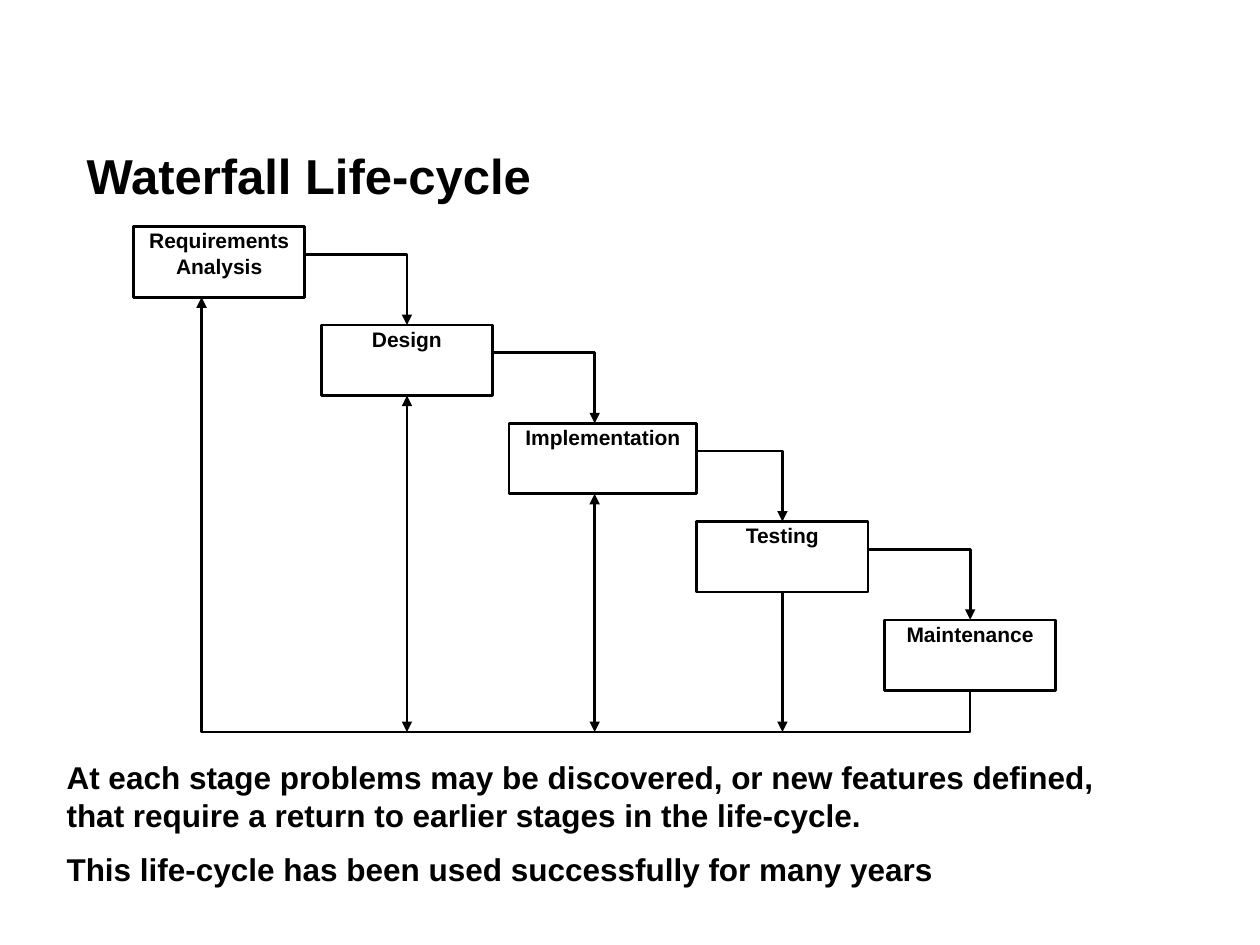
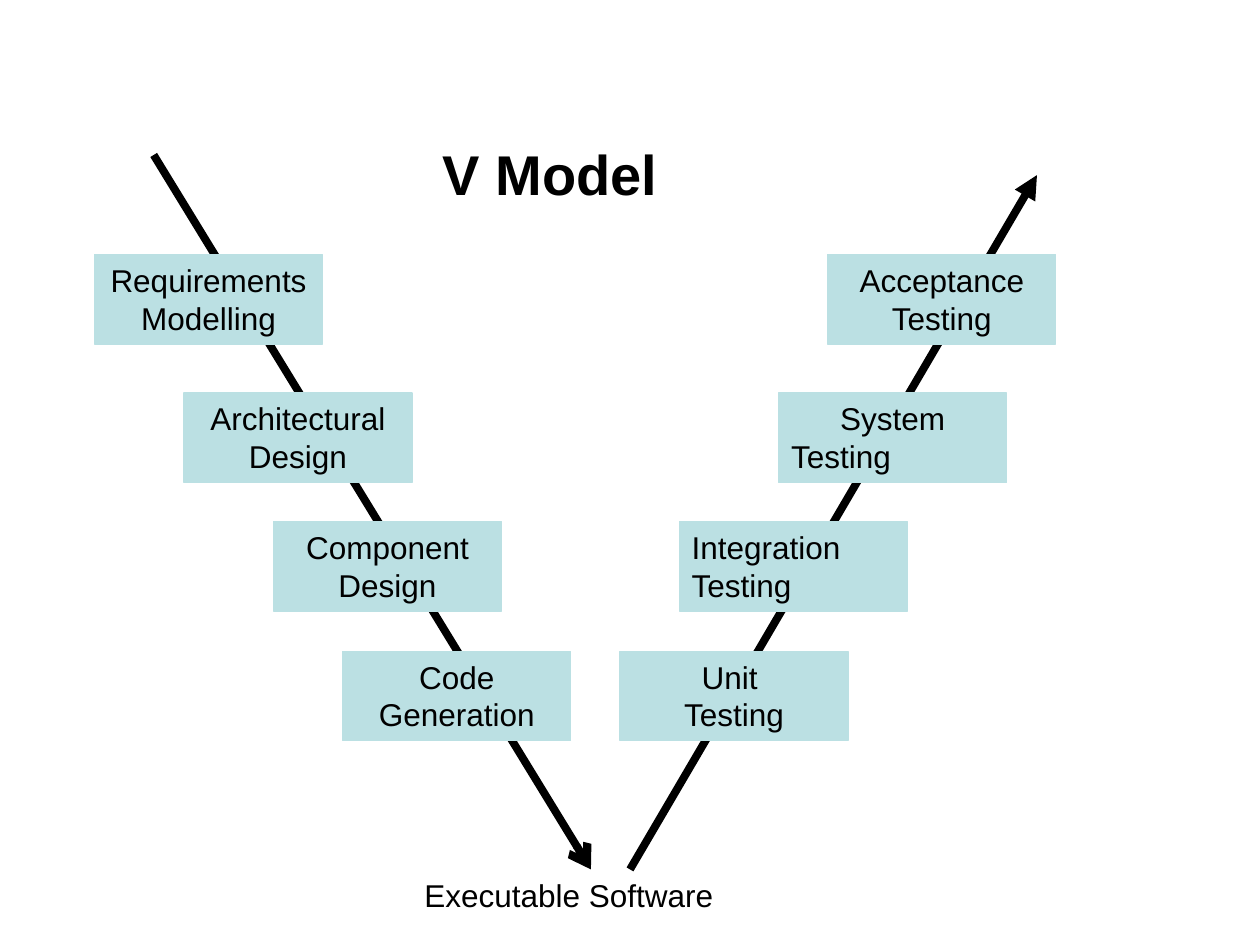
from lxml import etree
from pptx import Presentation
from pptx.dml.color import RGBColor
from pptx.enum.shapes import MSO_CONNECTOR, MSO_SHAPE
from pptx.enum.text import MSO_ANCHOR, PP_ALIGN
from pptx.oxml.ns import qn
from pptx.util import Inches, Pt

LEFT, CENTER = PP_ALIGN.LEFT, PP_ALIGN.CENTER
TOP, MIDDLE = MSO_ANCHOR.TOP, MSO_ANCHOR.MIDDLE
RECTANGLE, STRAIGHT = MSO_SHAPE.RECTANGLE, MSO_CONNECTOR.STRAIGHT

BLACK = RGBColor(0x00, 0x00, 0x00)
WHITE = RGBColor(0xFF, 0xFF, 0xFF)
PALE_TEAL = RGBColor(0xBB, 0xE0, 0xE3)
FONT = "Arial"

# Waterfall content: paragraphs and width of each stage
STAGES = [
    (["Requirements", "Analysis"], 1.36),
    (["Design"], 1.36),
    (["Implementation"], 1.49),
    (["Testing"], 1.36),
    (["Maintenance"], 1.36),
]
REMARKS = [
    "At each stage problems may be discovered, or new features defined, "
    "that require a return to earlier stages in the life-cycle.",
    "This life-cycle has been used successfully for many years",
]
STAGE_LEFT, STAGE_TOP = 1.06, 1.8
STEP_X, STEP_Y = 1.49, 0.78
STAGE_W, STAGE_H = 1.36, 0.56
FEEDBACK_Y = 5.81

# V model content: box left edges and (text, alignment) paragraphs, by level
V_TOPS = [2.02, 3.12, 4.14, 5.17]
DEVELOPMENT = [
    (0.75, [("Requirements Modelling", CENTER)]),
    (1.46, [("Architectural Design", CENTER)]),
    (2.17, [("Component Design", CENTER)]),
    (2.72, [("Code Generation", CENTER)]),
]
VERIFICATION = [
    (6.57, [("Acceptance Testing", CENTER)]),
    (6.18, [("System", CENTER), ("Testing", LEFT)]),
    (5.39, [("Integration Testing", LEFT)]),
    (4.92, [("Unit ", CENTER), ("Testing", CENTER)]),
]
V_ARMS = [
    ((1.22, 1.23), (4.69, 6.9), "arrow"),
    ((5, 6.9), (8.23, 1.39), "triangle"),
]


def write(shape, paragraphs, size, bold=False, anchor=TOP):
    """Fill a shape with (text, alignment) paragraphs and return its frame."""
    frame = shape.text_frame
    frame.word_wrap = True
    frame.vertical_anchor = anchor
    for i, (text, align) in enumerate(paragraphs):
        paragraph = frame.paragraphs[0] if i == 0 else frame.add_paragraph()
        paragraph.alignment = align
        run = paragraph.add_run()
        run.text = text
        run.font.name = FONT
        run.font.size = Pt(size)
        run.font.bold = bold
        run.font.color.rgb = BLACK
    return frame


def add_text(slide, box, paragraphs, size, **style):
    return write(slide.shapes.add_textbox(*map(Inches, box)), paragraphs, size, **style)


def add_title(slide, box, text, size, align):
    add_text(slide, box, [(text, align)], size, bold=True, anchor=MIDDLE)


def add_box(slide, box, fill, line, width):
    shape = slide.shapes.add_shape(RECTANGLE, *map(Inches, box))
    shape.shadow.inherit = False
    shape.fill.solid()
    shape.fill.fore_color.rgb = fill
    shape.line.color.rgb = line
    shape.line.width = Pt(width)
    return shape


def style_line(shape, width, head=None, tail=None):
    shape.line.color.rgb = BLACK
    shape.line.width = Pt(width)
    outline = shape.line._get_or_add_ln()
    for tag, kind in (("a:headEnd", head), ("a:tailEnd", tail)):
        if kind:
            etree.SubElement(outline, qn(tag)).set("type", kind)


def add_line(slide, start, end, width, head=None, tail=None):
    line = slide.shapes.add_connector(STRAIGHT, *map(Inches, (*start, *end)))
    style_line(line, width, head, tail)
    etree.SubElement(line._element.spPr, qn("a:effectLst"))


def add_bent_arrow(slide, points):
    corners = [(Inches(x), Inches(y)) for x, y in points]
    builder = slide.shapes.build_freeform(*corners[0])
    builder.add_line_segments(corners[1:], close=False)
    shape = builder.convert_to_shape()
    shape.shadow.inherit = False
    shape.fill.background()
    style_line(shape, 1.5, tail="triangle")


def build_waterfall(slide):
    add_title(slide, (0.59, 1.01, 8.27, 0.76), "Waterfall Life-cycle", 28, LEFT)
    corners = [(STAGE_LEFT + i * STEP_X, STAGE_TOP + i * STEP_Y)
               for i in range(len(STAGES))]

    # Arrows from each stage down to the next
    for (left, top), (next_left, next_top) in zip(corners, corners[1:]):
        middle = next_left + STAGE_W / 2
        add_bent_arrow(slide, [(left + STAGE_W, top + 0.22),
                               (middle, top + 0.22), (middle, next_top)])

    # Stages
    for (left, top), (lines, width) in zip(corners, STAGES):
        box = add_box(slide, (left, top, width, STAGE_H), WHITE, BLACK, 1.5)
        frame = write(box, [(line, CENTER) for line in lines], 12, bold=True)
        frame.paragraphs[0].space_before = Pt(6)
        frame.margin_left = frame.margin_right = Inches(0.01)
        frame.margin_top = frame.margin_bottom = Inches(0.01)

    # Feedback from the last stage to the first, joined by those between
    last_left, last_top = corners[-1]
    last_middle = last_left + STAGE_W / 2
    return_x = STAGE_LEFT + 0.54
    add_bent_arrow(slide, [(last_middle, last_top + STAGE_H), (last_middle, FEEDBACK_Y),
                           (return_x, FEEDBACK_Y), (return_x, STAGE_TOP + STAGE_H)])
    for (left, top), head in zip(corners[1:-1], ("triangle", "triangle", None)):
        middle = left + STAGE_W / 2
        add_line(slide, (middle, top + STAGE_H), (middle, FEEDBACK_Y), 1.5,
                 head=head, tail="triangle")

    # Remarks
    frame = add_text(slide, (0.43, 5.97, 8.82, 1.15),
                     [(remark, LEFT) for remark in REMARKS], 18, bold=True)
    for paragraph in frame.paragraphs:
        paragraph.space_before = Pt(9)


def build_v_model(slide):
    add_title(slide, (2.87, 0.99, 2.99, 0.76), "V Model", 32, CENTER)
    for start, end, tip in V_ARMS:
        add_line(slide, start, end, 4.5, tail=tip)
    for side in (DEVELOPMENT, VERIFICATION):
        for top, (left, paragraphs) in zip(V_TOPS, side):
            box = add_box(slide, (left, top, 1.81, 0.71), PALE_TEAL, PALE_TEAL, 0.75)
            write(box, paragraphs, 18)
    add_text(slide, (3.27, 6.9, 2.99, 0.4), [("Executable Software", LEFT)], 18)


def main():
    deck = Presentation()
    deck.slide_width, deck.slide_height = Inches(10), Inches(7.5)
    blank = deck.slide_layouts[6]
    for build in (build_waterfall, build_v_model):
        build(deck.slides.add_slide(blank))
    deck.save("out.pptx")


if __name__ == "__main__":
    main()
